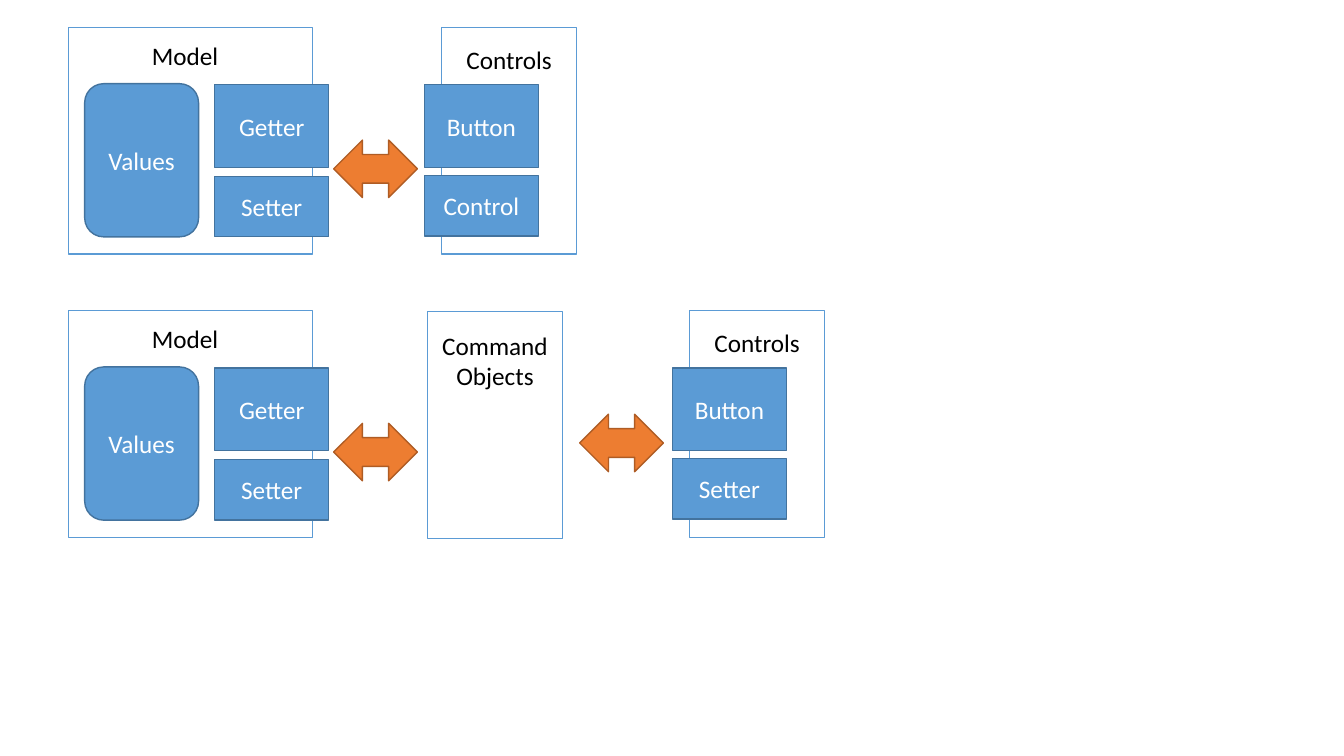
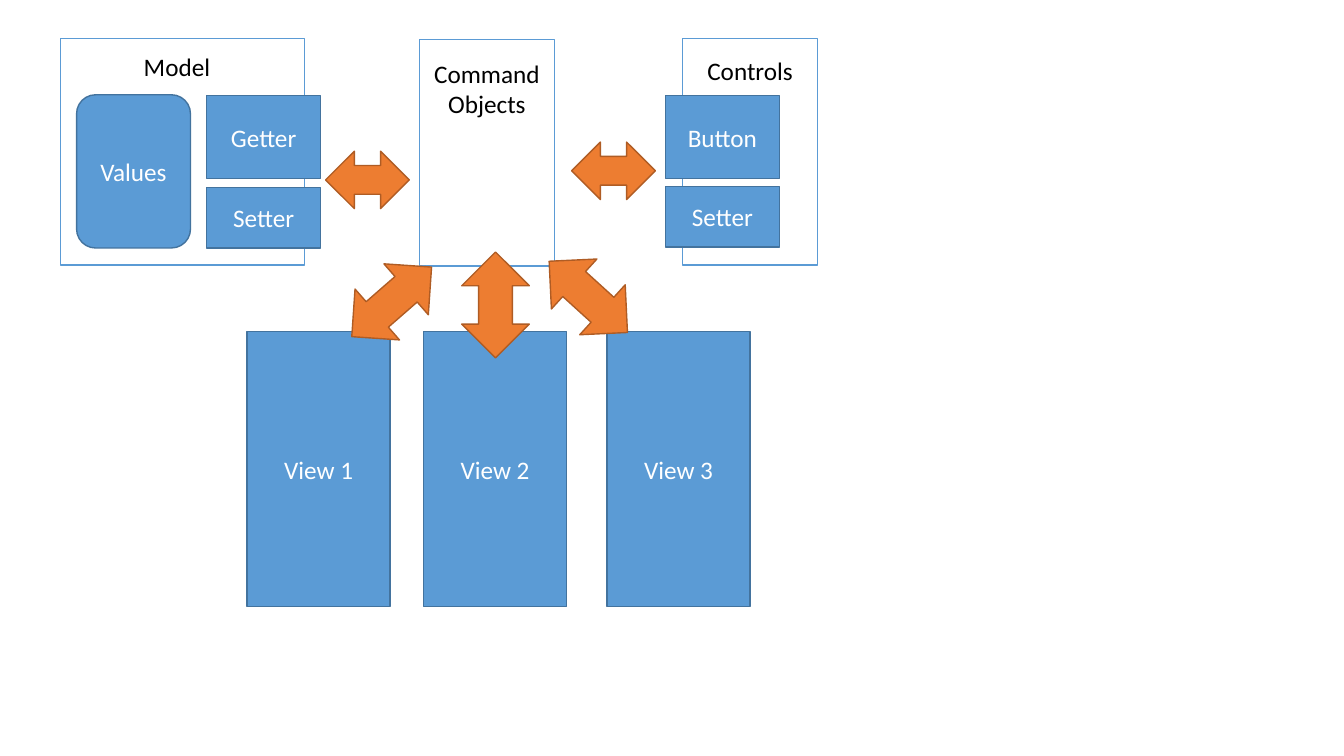
from dataclasses import dataclass

from pptx import Presentation
from pptx.dml.color import RGBColor
from pptx.enum.shapes import MSO_SHAPE
from pptx.enum.text import MSO_ANCHOR, MSO_AUTO_SIZE, PP_ALIGN
from pptx.util import Inches, Pt

RECTANGLE = MSO_SHAPE.RECTANGLE
ROUNDED = MSO_SHAPE.ROUNDED_RECTANGLE
DOUBLE_ARROW = MSO_SHAPE.LEFT_RIGHT_ARROW
MIDDLE = MSO_ANCHOR.MIDDLE
TOP = MSO_ANCHOR.TOP
CENTER = PP_ALIGN.CENTER
FIT_SHAPE = MSO_AUTO_SIZE.SHAPE_TO_FIT_TEXT


@dataclass(frozen=True)
class Theme:
    font: str = "Calibri"
    text_size: int = 18
    line_width: int = 1
    white: str = "FFFFFF"
    black: str = "000000"
    blue: str = "5B9BD5"
    dark_blue: str = "43739E"
    orange: str = "ED7D31"
    dark_orange: str = "AF5C24"


theme = Theme()

# Preset, fill and line of each kind of shape
STYLES = {
    "frame": (RECTANGLE, theme.white, theme.blue),
    "block": (RECTANGLE, theme.blue, theme.dark_blue),
    "store": (ROUNDED, theme.blue, theme.dark_blue),
    "arrow": (DOUBLE_ARROW, theme.orange, theme.dark_orange),
}


def write_text(box, text, color=theme.white, anchor=MIDDLE, wrap=True):
    frame = box.text_frame
    frame.word_wrap = wrap
    frame.vertical_anchor = anchor
    frame.text = text
    for para in frame.paragraphs:
        para.alignment = CENTER
        for span in para.runs:
            span.font.name = theme.font
            span.font.size = Pt(theme.text_size)
            span.font.color.rgb = RGBColor.from_string(color)


def draw(page, kind, left, top, width, height, text="", rotation=0):
    """Add a label or a styled shape; lengths are in inches."""
    place = [Inches(length) for length in (left, top, width, height)]
    if kind == "label":
        label = page.shapes.add_textbox(*place)
        write_text(label, text, color=theme.black, anchor=TOP, wrap=False)
        label.text_frame.auto_size = FIT_SHAPE
        return
    preset, fill, line = STYLES[kind]
    box = page.shapes.add_shape(preset, *place)
    box.shadow.inherit = False
    box.fill.solid()
    box.fill.fore_color.rgb = RGBColor.from_string(fill)
    box.line.color.rgb = RGBColor.from_string(line)
    box.line.width = Pt(theme.line_width)
    box.rotation = rotation
    if text:
        write_text(box, text)


deck = Presentation()
deck.slide_width = Inches(13.33)
deck.slide_height = Inches(7.5)
blank = deck.slide_layouts[6]
patterns_page = deck.slides.add_slide(blank)
views_page = deck.slides.add_slide(blank)

# Parts are placed from the top left corner of their group
MODEL = [
    ("frame", 0, 0, 2.42, 2.25),
    ("store", 0.16, 0.56, 1.13, 1.52, "Values"),
    ("block", 1.45, 0.57, 1.13, 0.82, "Getter"),
    ("block", 1.45, 1.48, 1.13, 0.6, "Setter"),
    ("label", 0.72, 0.08, 0.87, 0.4, "Model"),
    ("arrow", 2.63, 1.12, 0.83, 0.57),
]
CONTROLS = [
    ("frame", 0, 0, 1.34, 2.25),
    ("label", 0.14, 0.12, 1.06, 0.4, "Controls"),
    ("block", -0.17, 0.57, 1.13, 0.82, "Button"),
]
COMMAND = [
    ("frame", 0, 0.01, 1.34, 2.25),
    ("label", 0.04, 0.15, 1.26, 0.71, "Command\nObjects"),
    ("arrow", 1.51, 1.03, 0.83, 0.57),
]
COMMAND_OFFSET = 3.56

# Page, left, top, offset of the controls, lower control, command objects
DIAGRAMS = [
    (patterns_page, 0.68, 0.27, 3.7, "Control", False),
    (patterns_page, 0.68, 3.08, 6.16, "Setter", True),
    (views_page, 0.6, 0.38, 6.17, "Setter", True),
]
for page, left, top, controls_offset, lower_control, has_command in DIAGRAMS:
    lower_block = ("block", -0.17, 1.47, 1.13, 0.6, lower_control)
    groups = [(0, MODEL), (controls_offset, CONTROLS + [lower_block])]
    if has_command:
        groups.append((COMMAND_OFFSET, COMMAND))
    for offset, parts in groups:
        for kind, x, y, *rest in parts:
            draw(page, kind, left + offset + x, top + y, *rest)

for number, left in enumerate((2.45, 4.2, 6.02), start=1):
    draw(views_page, "block", left, 3.29, 1.42, 2.73, f"View {number}")

for left, top, rotation in ((3.36, 2.66, 318.9), (4.39, 2.69, 270), (5.31, 2.61, 222.3)):
    draw(views_page, "arrow", left, top, 1.05, 0.67, rotation=rotation)

deck.save("out.pptx")
